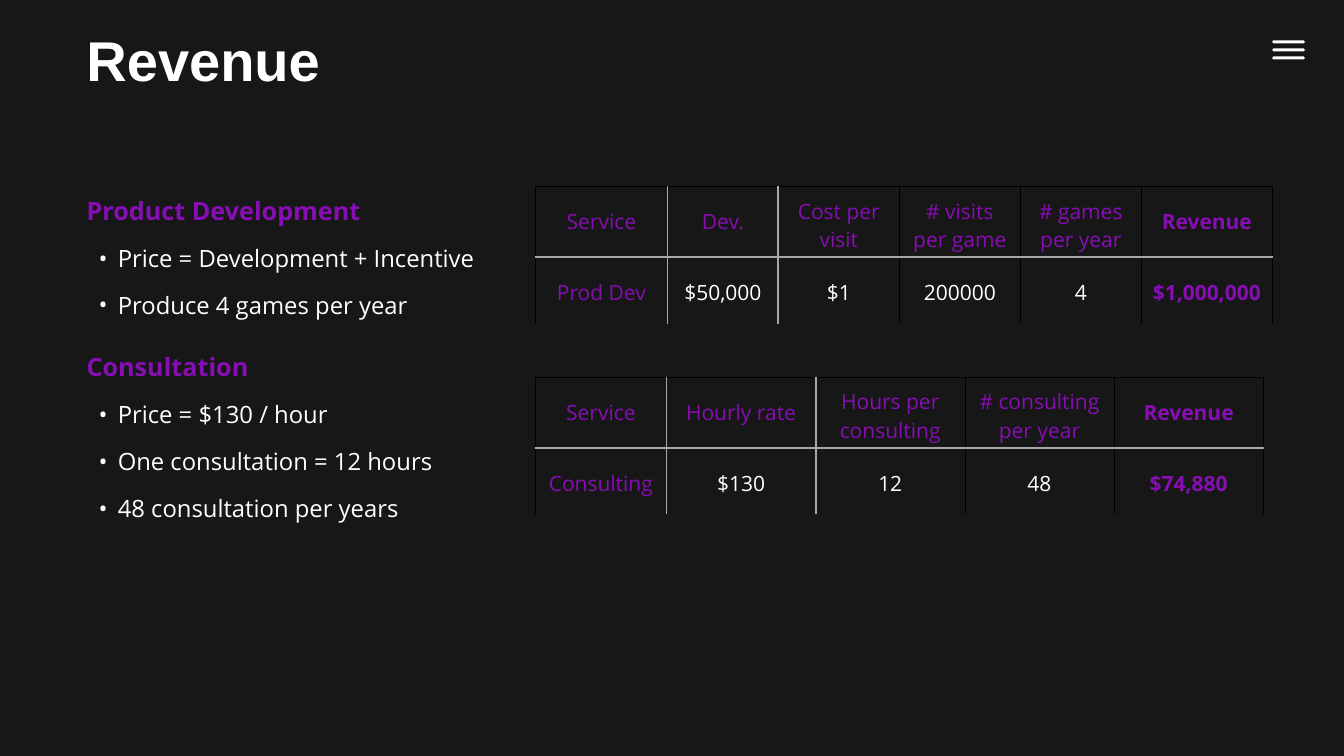
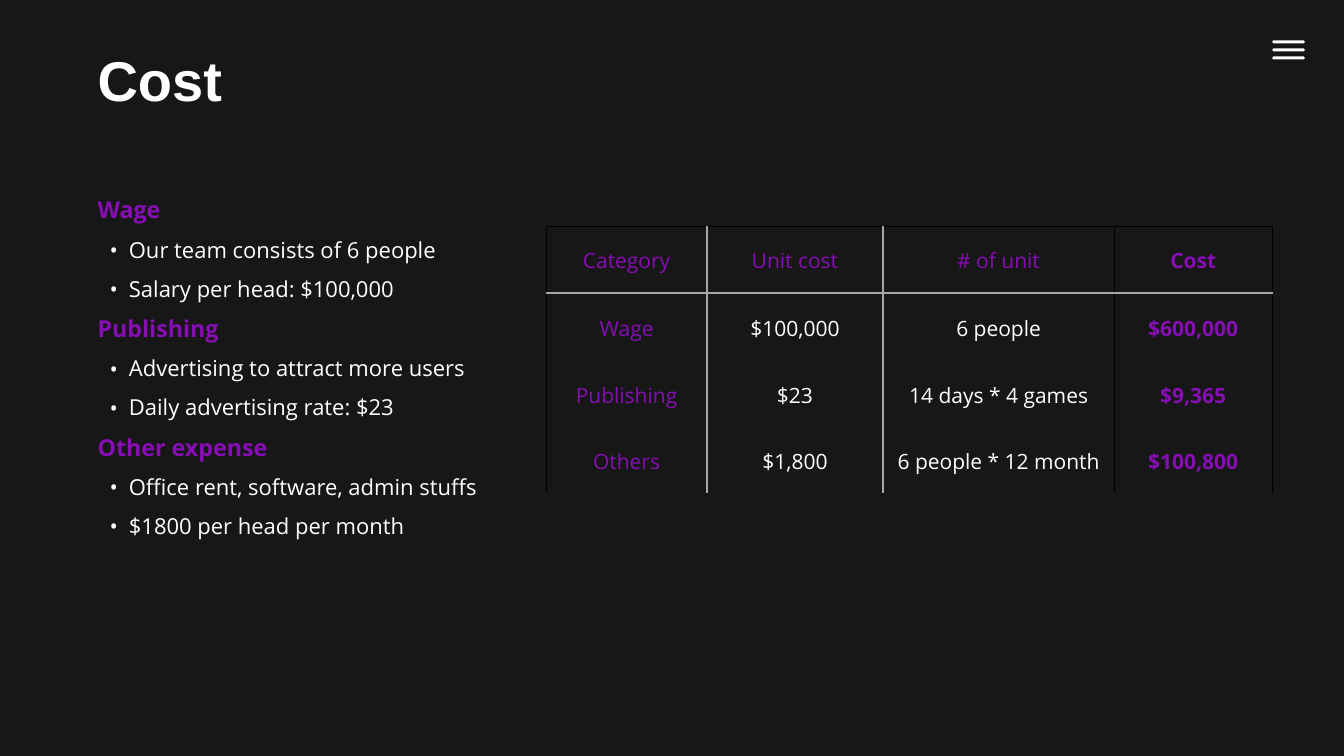
from lxml.etree import SubElement
from pptx import Presentation
from pptx.dml.color import RGBColor
from pptx.enum.text import MSO_ANCHOR, MSO_AUTO_SIZE, PP_ALIGN
from pptx.oxml.ns import qn
from pptx.util import Inches, Pt

BACK, WHITE, PURPLE, GRAY, BLACK = "181717", "FFFFFF", "870DB5", "A7A7A7", "000000"
TITLE_FONT, BODY_FONT = "Arial", "Open Sans"
RULE = (GRAY, 1.5)
HAIRLINE = (BLACK, 0.5)
ROW_HEIGHT = 0.66


def rgb(color):
    return RGBColor.from_string(color)


def add_run(p, text, size, color, bold=False, font=BODY_FONT):
    r = p.add_run()
    r.text = text
    r.font.name = font
    r.font.size = Pt(size)
    r.font.bold = bold
    r.font.color.rgb = rgb(color)


def add_bullet(p):
    pPr = p._p.get_or_add_pPr()
    pPr.set("marL", str(Inches(0.31)))
    pPr.set("indent", str(Inches(-0.19)))
    SubElement(pPr, qn("a:buFont"), typeface=BODY_FONT)
    SubElement(pPr, qn("a:buChar"), char="•")


def add_border(cell, side, line):
    """Draw one side (L, R, T or B) as (color, points), or clear it if line is None."""
    tcPr = cell._tc.get_or_add_tcPr()
    ln = SubElement(tcPr, qn(f"a:ln{side}"))
    if line is None:
        SubElement(ln, qn("a:noFill"))
        return
    color, width = line
    ln.set("w", str(Pt(width)))
    fill = SubElement(ln, qn("a:solidFill"))
    SubElement(fill, qn("a:srgbClr"), val=color)


class Deck:
    def __init__(self):
        self.prs = Presentation()
        self.prs.slide_width = Inches(13.33)
        self.prs.slide_height = Inches(7.5)
        fill = self.prs.slide_master.background.fill
        fill.solid()
        fill.fore_color.rgb = rgb(BACK)
        self.s = None

    def slide(self, title, left, top):
        self.s = self.prs.slides.add_slide(self.prs.slide_layouts[6])
        tf = self.text_frame(left, top, 4.9, 0.77)
        tf.auto_size = MSO_AUTO_SIZE.SHAPE_TO_FIT_TEXT
        add_run(tf.paragraphs[0], title, 40, WHITE, True, TITLE_FONT)
        self.menu_icon()

    def text_frame(self, left, top, width, height):
        box = self.s.shapes.add_textbox(*map(Inches, (left, top, width, height)))
        box.text_frame.word_wrap = True
        return box.text_frame

    def menu_icon(self):
        """Draw three bars with cut corners as one outline, in hundredths of an inch."""
        builder = self.s.shapes.build_freeform(1, 0, scale=Inches(0.01))
        for y in (0, 8, 16):
            if y:
                builder.move_to(1, y)
            builder.add_line_segments(
                [(31, y), (32, y + 1), (32, y + 2), (31, y + 3),
                 (1, y + 3), (0, y + 2), (0, y + 1)], close=True)
        icon = builder.convert_to_shape(Inches(12.62), Inches(0.4))
        icon.shadow.inherit = False
        icon.fill.solid()
        icon.fill.fore_color.rgb = rgb(WHITE)
        icon.line.fill.background()

    def outline(self, left, top, height, sections, sizes, spacing, section_gap):
        """Add purple headings, each with its bullets; sizes is (heading, bullet)."""
        tf = self.text_frame(left, top, 4.52, height)
        tf.margin_top = Inches(0.1)
        for i, (heading, bullets) in enumerate(sections):
            p = tf.add_paragraph() if i else tf.paragraphs[0]
            p.line_spacing = spacing
            if i:
                p.space_before = Pt(section_gap)
            add_run(p, heading, sizes[0], PURPLE, True)
            for text in bullets:
                p = tf.add_paragraph()
                p.line_spacing = spacing
                p.space_before = Pt(10)
                add_bullet(p)
                add_run(p, text, sizes[1], WHITE)

    def table(self, left, top, widths, rows):
        frame = self.s.shapes.add_table(
            len(rows), len(widths), Inches(left), Inches(top),
            Inches(sum(widths)), Inches(ROW_HEIGHT * len(rows)))
        table = frame.table
        table.first_row = table.horz_banding = False
        for column, width in zip(table.columns, widths):
            column.width = Inches(width)
        for i, row in enumerate(rows):
            table.rows[i].height = Inches(ROW_HEIGHT)
            for j, text in enumerate(row):
                self.cell(table.cell(i, j), text, i, j, len(widths) - 1)

    def cell(self, cell, text, i, j, last):
        add_border(cell, "L", RULE if j in (1, 2) else HAIRLINE)
        add_border(cell, "R", RULE if j in (0, 1) else HAIRLINE)
        add_border(cell, "T", {0: HAIRLINE, 1: RULE}.get(i))
        add_border(cell, "B", RULE if i == 0 else None)
        cell.fill.background()
        cell.vertical_anchor = MSO_ANCHOR.MIDDLE
        cell.margin_left = cell.margin_right = Inches(0.1)
        cell.margin_top = cell.margin_bottom = Inches(0.1)
        p = cell.text_frame.paragraphs[0]
        p.alignment = PP_ALIGN.CENTER
        if i:
            p.line_spacing = 1.15
        label = i == 0 or j in (0, last)
        add_run(p, text, 15, PURPLE if label else WHITE, j == last)


def main():
    deck = Deck()

    deck.slide("Revenue", 0.76, 0.2)
    deck.outline(0.76, 1.79, 3.85, [
        ("Product Development", ["Price = Development + Incentive",
                                 "Produce 4 games per year"]),
        ("Consultation", ["Price = $130 / hour",
                          "One consultation = 12 hours",
                          "48 consultation per years"]),
    ], sizes=(18, 17), spacing=1.15, section_gap=20)
    deck.table(5.31, 1.85, [1.31, 1.1, 1.2, 1.2, 1.2, 1.3], [
        ["Service", "Dev.", "Cost per visit", "# visits per game",
         "# games per year", "Revenue"],
        ["Prod Dev", "$50,000", "$1", "200000", "4", "$1,000,000"],
    ])
    deck.table(5.31, 3.74, [1.3] + [1.48] * 4, [
        ["Service", "Hourly rate", "Hours per consulting",
         "# consulting per year", "Revenue"],
        ["Consulting", "$130", "12", "48", "$74,880"],
    ])

    deck.slide("Cost", 0.87, 0.4)
    deck.outline(0.87, 1.86, 3.94, [
        ("Wage", ["Our team consists of 6 people",
                  "Salary per head: $100,000"]),
        ("Publishing", ["Advertising to attract more users",
                        "Daily advertising rate: $23"]),
        ("Other expense", ["Office rent, software, admin stuffs",
                           "$1800 per head per month"]),
    ], sizes=(16.6, 15.7), spacing=0.95, section_gap=10)
    deck.table(5.42, 2.25, [1.59, 1.75, 2.29, 1.57], [
        ["Category", "Unit cost", "# of unit", "Cost"],
        ["Wage", "$100,000", "6 people", "$600,000"],
        ["Publishing", "$23", "14 days * 4 games", "$9,365"],
        ["Others", "$1,800", "6 people * 12 month", "$100,800"],
    ])

    deck.prs.save("out.pptx")


if __name__ == "__main__":
    main()
